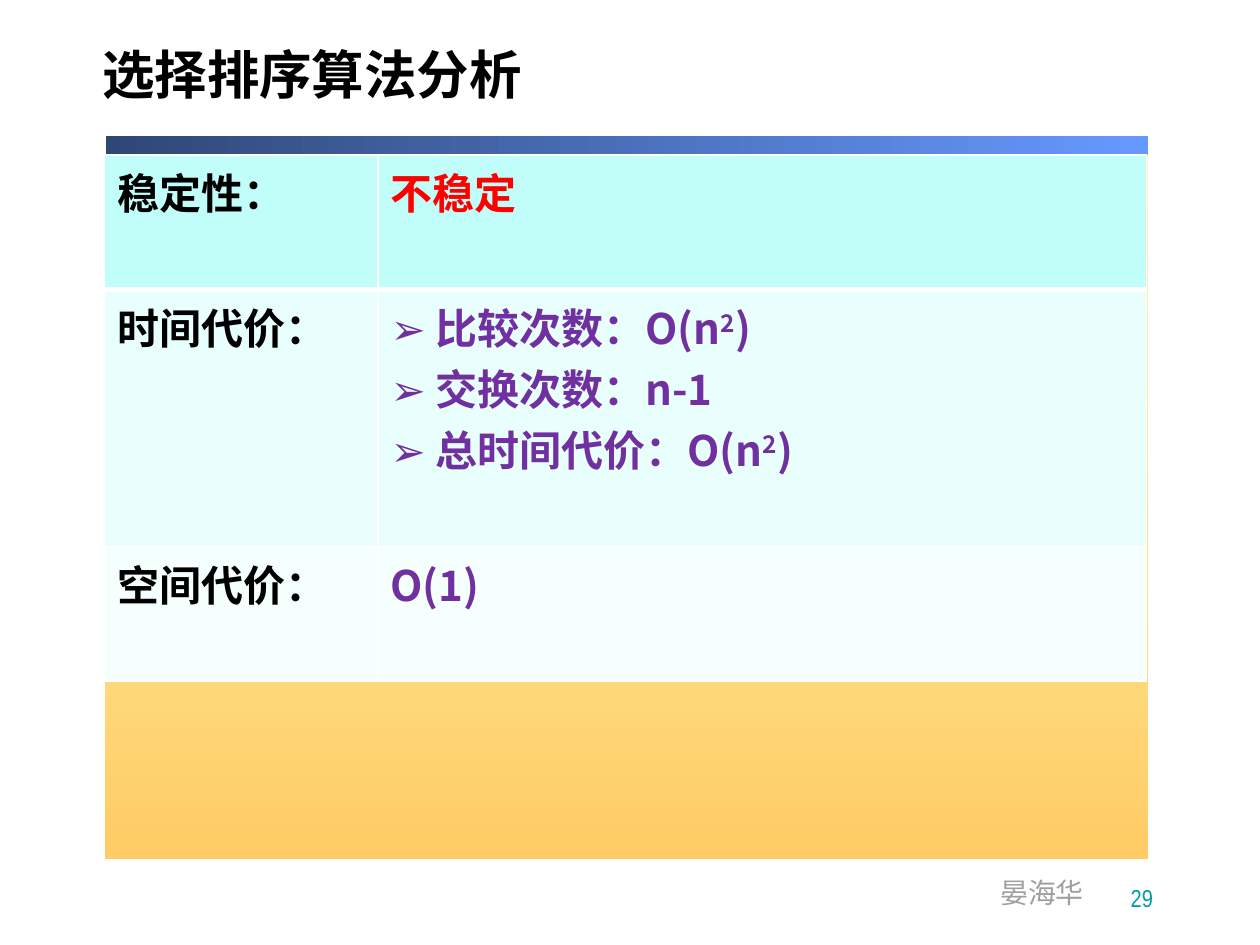
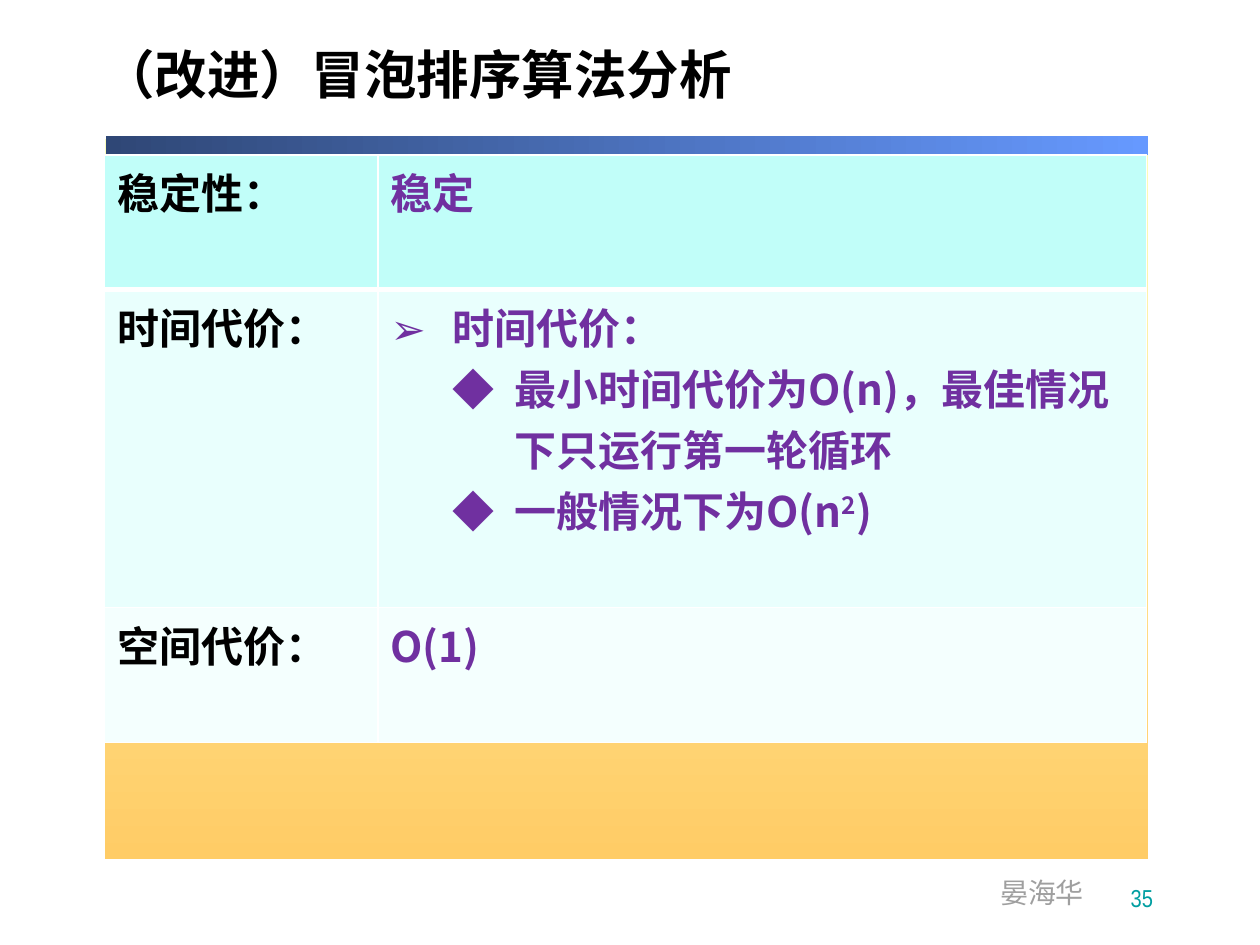
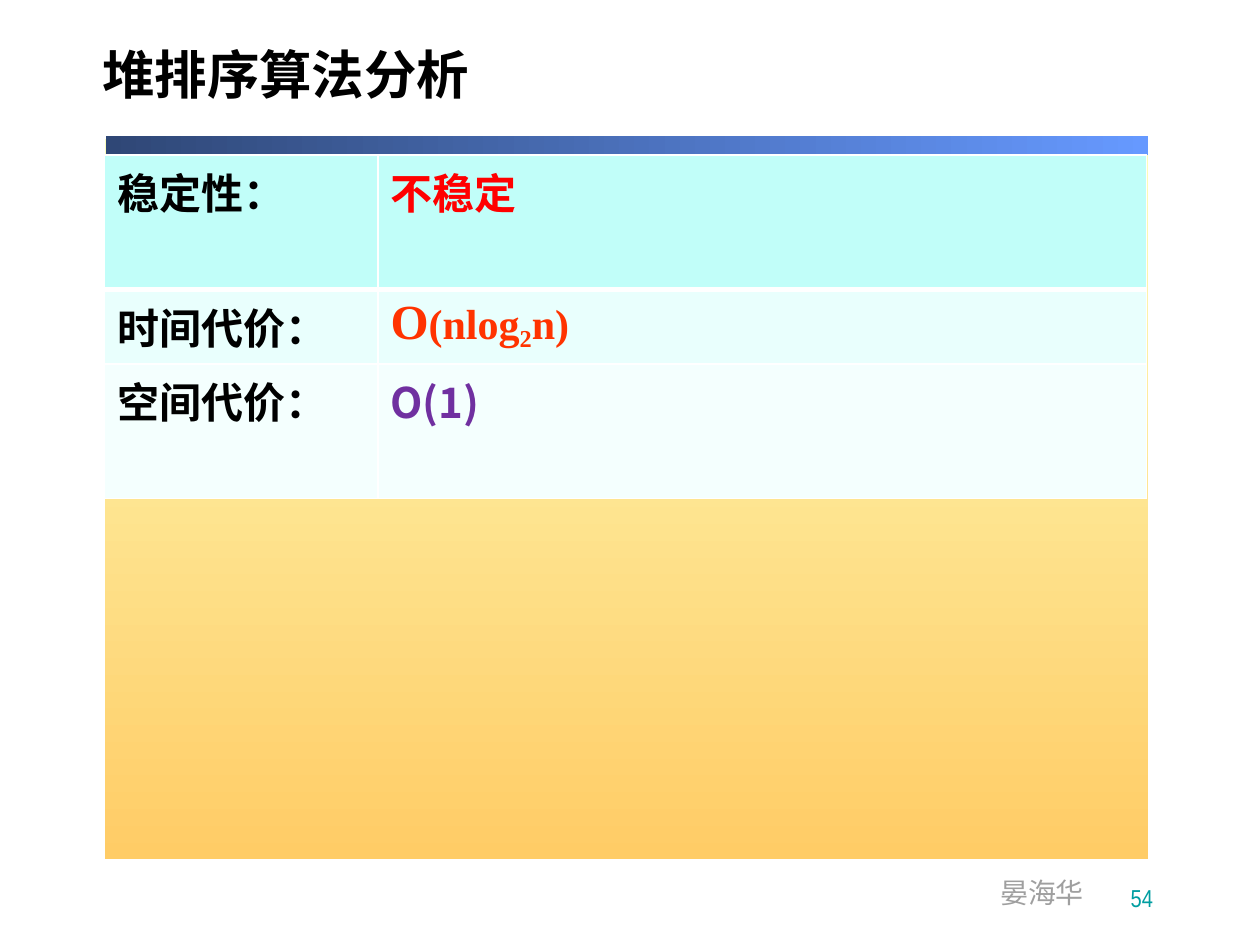
from lxml import etree
from pptx import Presentation
from pptx.dml.color import RGBColor
from pptx.enum.shapes import MSO_SHAPE
from pptx.enum.text import MSO_ANCHOR, MSO_AUTO_SIZE, PP_ALIGN
from pptx.oxml.ns import qn
from pptx.util import Pt

RECTANGLE = MSO_SHAPE.RECTANGLE
LEFT, RIGHT = PP_ALIGN.LEFT, PP_ALIGN.RIGHT
MIDDLE, BOTTOM = MSO_ANCHOR.MIDDLE, MSO_ANCHOR.BOTTOM
NO_AUTOFIT = MSO_AUTO_SIZE.NONE

# Colours and fonts
BLACK = RGBColor(0x00, 0x00, 0x00)
RED = RGBColor(0xFF, 0x00, 0x00)
ORANGE_RED = RGBColor(0xFF, 0x33, 0x00)
PURPLE = RGBColor(0x70, 0x30, 0xA0)
GREY = RGBColor(0x9F, 0x9F, 0x9F)
TEAL = RGBColor(0x00, 0x9E, 0xA1)
PALE_YELLOW = RGBColor(0xFC, 0xFE, 0xBC)
GOLD = RGBColor(0xFF, 0xCC, 0x66)
NAVY = RGBColor(0x2F, 0x47, 0x76)
SKY_BLUE = RGBColor(0x66, 0x99, 0xFF)
ROW_FILLS = [RGBColor(0xC1, 0xFE, 0xF9), RGBColor(0xE9, 0xFF, 0xFD), RGBColor(0xF4, 0xFF, 0xFE)]
NARROW, CJK, TIMES = "Arial Narrow", "Noto Sans CJK SC", "Times New Roman"

# Text formats
TITLE = {"size": Pt(30), "bold": True, "name": NARROW, "color": BLACK}
AUTHOR = {"size": Pt(16), "bold": False, "name": NARROW, "color": GREY}
NUMBER = {**AUTHOR, "size": Pt(14), "color": TEAL}
LABEL = {**TITLE, "size": Pt(24)}
VALUE = {**LABEL, "name": CJK, "color": PURPLE}
WARNING = {**VALUE, "color": RED}
FORMULA = {**VALUE, "name": TIMES, "color": ORANGE_RED}
LARGE_FORMULA = {**FORMULA, "size": Pt(28)}
SUPERSCRIPT = {**VALUE, "baseline": 30000}
SUBSCRIPT = {**FORMULA, "baseline": -18000}

# Layout
LINE_HEIGHT, CELL_PADDING = 34.9, 7.2
TABLE_LEFT, TABLE_TOP = 59.76, 88.56
COLUMN_WIDTHS = [156.24, 439.2]
LABELS = ["稳定性：", "时间代价：", "空间代价："]
ARROW, DIAMOND = "➢", "◆"
# Background bands: left, top, width, height, first colour, last colour, angle
BANDS = [
    (59.76, 79.2, 596.16, 411.84, PALE_YELLOW, GOLD, 270),
    (60.48, 77.76, 595.44, 10.8, NAVY, SKY_BLUE, 0),
]

# A paragraph is (bullet, level, hanging indent, runs)
STABLE = [(None, 0, 0, [("稳定", VALUE)])]
UNSTABLE = [(None, 0, 0, [("不稳定", WARNING)])]
CONSTANT_SPACE = [(None, 0, 0, [("O(1)", VALUE)])]
SQUARED = [("2", SUPERSCRIPT), (")", VALUE)]

# Each slide: title, number, lines in the time row, stability, time cost
SLIDES = [
    ("选择排序算法分析", "29", 4, UNSTABLE, [
        (ARROW, 0, 25.7, [("比较次数：O(n", VALUE)] + SQUARED),
        (ARROW, 0, 25.7, [("交换次数：n-1", VALUE)]),
        (ARROW, 0, 25.7, [("总时间代价：O(n", VALUE)] + SQUARED),
    ]),
    ("（改进）冒泡排序算法分析", "35", 5, STABLE, [
        (ARROW, 0, 35.4, [("时间代价：", VALUE)]),
        (DIAMOND, 1, 35.4, [("最小时间代价为O(n)，最佳情况下只运行第一轮循环", VALUE)]),
        (DIAMOND, 1, 35.4, [("一般情况下为O(n", VALUE)] + SQUARED),
    ]),
    ("堆排序算法分析", "54", 1, UNSTABLE, [
        (None, 0, 0, [("O", LARGE_FORMULA), ("(nlog", FORMULA), ("2", SUBSCRIPT), ("n)", FORMULA)]),
    ]),
]


def add_run(paragraph, text, text_format):
    run = paragraph.add_run()
    run.text = text
    for attribute in ("size", "bold", "name"):
        setattr(run.font, attribute, text_format[attribute])
    run.font.color.rgb = text_format["color"]
    properties = run._r.get_or_add_rPr()
    etree.SubElement(properties, qn("a:ea"), typeface=CJK)
    if "baseline" in text_format:
        properties.set("baseline", str(text_format["baseline"]))


def fill_cell(cell, paragraphs, row_index):
    # Borders come before the fill; the first row is set off by a thick line
    properties = cell._tc.get_or_add_tcPr()
    thick_side = {0: "lnB", 1: "lnT"}.get(row_index)
    for side in ("lnL", "lnR", "lnT", "lnB"):
        width = Pt(3 if side == thick_side else 1)
        border = etree.SubElement(properties, qn("a:" + side), w=str(width))
        solid = etree.SubElement(border, qn("a:solidFill"))
        etree.SubElement(solid, qn("a:srgbClr"), val="FFFFFF")
    cell.fill.solid()
    cell.fill.fore_color.rgb = ROW_FILLS[row_index]

    for index, (bullet, level, indent, runs) in enumerate(paragraphs):
        text_frame = cell.text_frame
        paragraph = text_frame.add_paragraph() if index else text_frame.paragraphs[0]
        paragraph.level = level
        if bullet:
            properties = paragraph._p.get_or_add_pPr()
            properties.set("marL", str(Pt(indent * (level + 1))))
            properties.set("indent", str(-Pt(indent)))
            etree.SubElement(properties, qn("a:buFont"), typeface=CJK)
            etree.SubElement(properties, qn("a:buChar"), char=bullet)
        for text, text_format in runs:
            add_run(paragraph, text, text_format)


presentation = Presentation()
presentation.slide_width, presentation.slide_height = Pt(720), Pt(540)
title_only = presentation.slide_layouts[5]

for title_text, number, time_lines, stability, time_cost in SLIDES:
    slide = presentation.slides.add_slide(title_only)

    # Gradient bands
    for left, top, width, height, first_color, last_color, angle in BANDS:
        band = slide.shapes.add_shape(RECTANGLE, Pt(left), Pt(top), Pt(width), Pt(height))
        band.shadow.inherit = False
        band.line.fill.background()
        band.fill.gradient()
        band.fill.gradient_angle = angle
        for stop, color, position in zip(band.fill.gradient_stops, (first_color, last_color), (0, 1)):
            stop.color.rgb = color
            stop.position = position

    # Title
    title = slide.shapes.title
    title.left, title.top, title.width, title.height = Pt(51.12), Pt(12.24), Pt(696.24), Pt(66.24)
    title.text_frame.auto_size = NO_AUTOFIT
    title.text_frame.vertical_anchor = MIDDLE
    paragraph = title.text_frame.paragraphs[0]
    paragraph.alignment = LEFT
    paragraph.line_spacing = 0.8
    add_run(paragraph, title_text, TITLE)

    # Author and slide number
    author = slide.shapes.add_textbox(Pt(564.48), Pt(496.8), Pt(62.64), Pt(26.64))
    author.text_frame.word_wrap = False
    add_run(author.text_frame.paragraphs[0], "晏海华", AUTHOR)
    number_box = slide.shapes.add_textbox(Pt(529.92), Pt(490.32), Pt(136.08), Pt(34.56))
    number_box.text_frame.word_wrap = True
    number_box.text_frame.vertical_anchor = BOTTOM
    number_box.text_frame.paragraphs[0].alignment = RIGHT
    add_run(number_box.text_frame.paragraphs[0], number, NUMBER)

    # Analysis table
    row_heights = [LINE_HEIGHT * lines + CELL_PADDING for lines in (2, time_lines, 2)]
    table = slide.shapes.add_table(
        len(LABELS), len(COLUMN_WIDTHS), Pt(TABLE_LEFT), Pt(TABLE_TOP),
        Pt(sum(COLUMN_WIDTHS)), Pt(sum(row_heights))).table
    table.first_row = table.horz_banding = False
    for column, width in zip(table.columns, COLUMN_WIDTHS):
        column.width = Pt(width)
    values = [stability, time_cost, CONSTANT_SPACE]
    for row_index, (label, value) in enumerate(zip(LABELS, values)):
        table.rows[row_index].height = Pt(row_heights[row_index])
        fill_cell(table.cell(row_index, 0), [(None, 0, 0, [(label, LABEL)])], row_index)
        fill_cell(table.cell(row_index, 1), value, row_index)

presentation.save("out.pptx")
